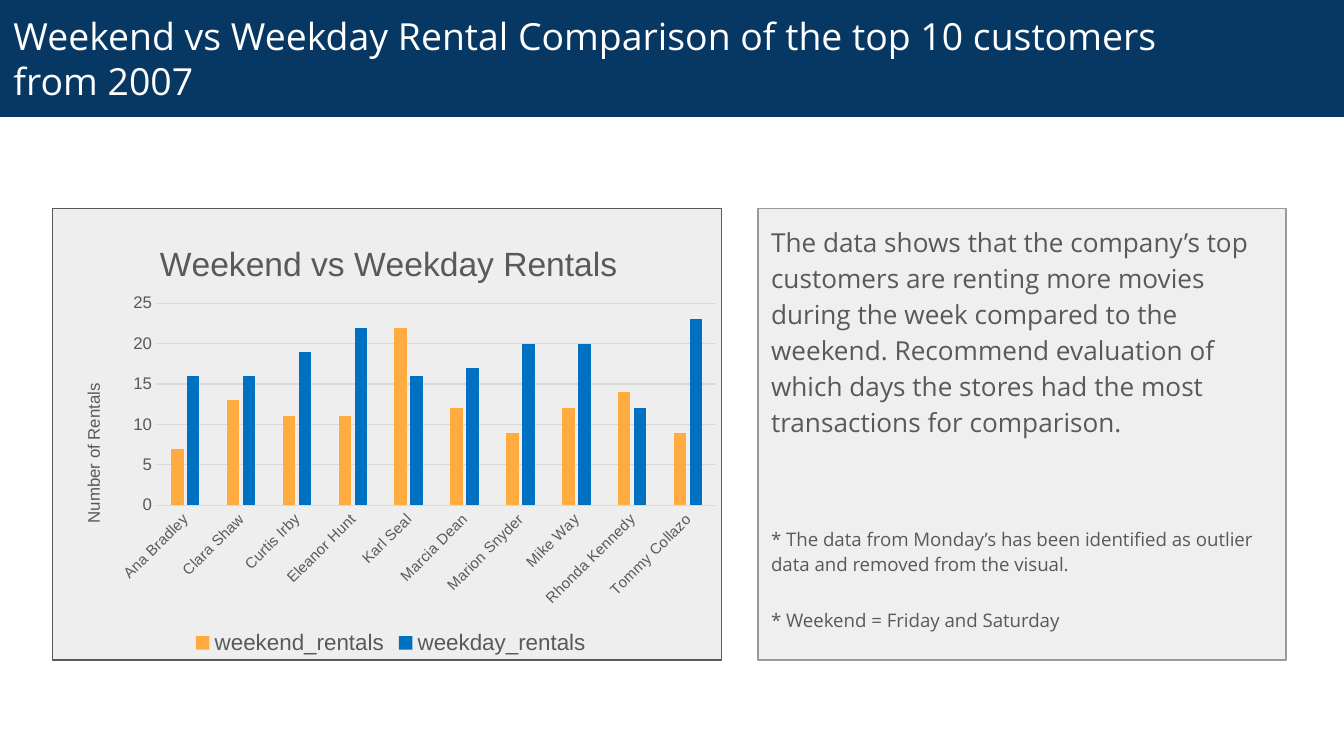
from dataclasses import dataclass

from lxml import etree
from pptx import Presentation
from pptx import util as u
from pptx.chart import data as chart_data
from pptx.dml.color import RGBColor
from pptx.enum import chart as ch
from pptx.enum import shapes, text
from pptx.oxml import parse_xml
from pptx.oxml.ns import nsdecls, qn


@dataclass(frozen=True)
class Theme:
    navy: str = "073763"
    white: str = "FFFFFF"
    ink: str = "595959"
    panel: str = "EEEEEE"
    note_panel: str = "EFEFEF"
    note_edge: str = "999999"
    grid: str = "D9D9D9"
    text_font: str = "Open Sans"
    chart_font: str = "Arial"
    heading: float = 20
    body: float = 14
    note: float = 10
    chart_title: float = 18
    legend: float = 12
    axis: float = 9
    category: float = 8
    line: float = 0.75


@dataclass(frozen=True)
class Area:
    left: float
    top: float
    width: float
    height: float

    def lengths(self) -> tuple:
        return tuple(u.Pt(v) for v in (self.left, self.top, self.width, self.height))


@dataclass(frozen=True)
class Series:
    name: str
    values: tuple
    color: str


@dataclass(frozen=True)
class Passage:
    words: str
    size: float
    after: float


THEME = Theme()
TITLE_BAR = Area(0, 0, 720, 62.6)
CHART_PANEL = Area(28, 111.7, 358.5, 242)
CHART_AREA = Area(28, 111.7, 362.9, 242)
NOTE_PANEL = Area(406, 111.7, 283, 242)

CUSTOMERS = ("Ana Bradley", "Clara Shaw", "Curtis Irby", "Eleanor Hunt", "Karl Seal",
             "Marcia Dean", "Marion Snyder", "Mike Way", "Rhonda Kennedy", "Tommy Collazo")
RENTALS = (
    Series("weekend_rentals", (7, 13, 11, 11, 22, 12, 9, 12, 14, 9), "FFAB40"),
    Series("weekday_rentals", (16, 16, 19, 22, 16, 17, 20, 20, 12, 23), "0070C0"),
)
PASSAGES = (
    Passage("The data shows that the company’s top customers are renting more movies during "
            "the week compared to the weekend. Recommend evaluation of which days the stores "
            "had the most transactions for comparison.", THEME.body, 46),
    Passage("* The data from Monday’s has been identified as outlier data and removed from "
            "the visual.", THEME.note, 16),
    Passage("* Weekend = Friday and Saturday", THEME.note, 16),
)


def style_font(font, *, size: float, color: str, name: str) -> None:
    font.size, font.name, font.bold = u.Pt(size), name, False
    font.color.rgb = RGBColor.from_string(color)


def write(para, words: str, *, size: float, color: str, name: str = THEME.text_font,
          spacing: float = 1.0, after: float = 0) -> None:
    """Fill a paragraph; a newline in the words becomes a line break."""
    para.alignment = text.PP_ALIGN.LEFT
    para.line_spacing, para.space_before, para.space_after = spacing, u.Pt(0), u.Pt(after)
    for index, line in enumerate(words.split("\n")):
        if index:
            para.add_line_break()
        span = para.add_run()
        span.text = line
        style_font(span.font, size=size, color=color, name=name)


def paint(shape, fill: str, edge: str | None = None) -> None:
    shape.fill.solid()
    shape.fill.fore_color.rgb = RGBColor.from_string(fill)
    if edge is None:
        shape.line.fill.background()
    else:
        shape.line.color.rgb = RGBColor.from_string(edge)
        shape.line.width = u.Pt(THEME.line)


def place(shape, area: Area) -> None:
    shape.left, shape.top, shape.width, shape.height = area.lengths()


def add_panel(page, area: Area, fill: str, edge: str):
    box = page.shapes.add_shape(shapes.MSO_SHAPE.RECTANGLE, *area.lengths())
    box.shadow.inherit = False
    paint(box, fill, edge)
    return box


def set_frame(frame, anchor) -> None:
    frame.word_wrap, frame.auto_size = True, text.MSO_AUTO_SIZE.NONE
    frame.vertical_anchor = anchor
    frame.margin_left = frame.margin_right = frame.margin_top = frame.margin_bottom = u.Pt(7.2)


def set_layout(parent, **parts: float) -> None:
    """Fix a chart part in place, in fractions of the chart's size."""
    old = parent.find(qn("c:layout"))
    if old is not None:
        parent.remove(old)
    layout = etree.Element(qn("c:layout"))
    manual = etree.SubElement(layout, qn("c:manualLayout"))
    settings = {"xMode": "edge", "yMode": "edge"} | parts
    if "w" in parts:
        settings = {"layoutTarget": "inner"} | settings
    for tag, value in settings.items():
        etree.SubElement(manual, qn(f"c:{tag}")).set("val", str(value))
    parent.insert(0 if parent.find(qn("c:tx")) is None else 1, layout)


def title_chart_part(part, words: str, size: float, x: float, y: float) -> None:
    para = part.text_frame.paragraphs[0]
    span = para.add_run()
    span.text = words
    style_font(span.font, size=size, color=THEME.ink, name=THEME.chart_font)
    set_layout(part._element, x=x, y=y)


def style_axis(axis, size: float) -> None:
    axis.major_tick_mark = axis.minor_tick_mark = ch.XL_TICK_MARK.NONE
    style_font(axis.tick_labels.font, size=size, color=THEME.ink, name=THEME.chart_font)


def grey_line(line) -> None:
    line.color.rgb = RGBColor.from_string(THEME.grid)
    line.width = u.Pt(THEME.line)


def add_rental_chart(page) -> None:
    data = chart_data.CategoryChartData()
    data.categories = CUSTOMERS
    for series in RENTALS:
        data.add_series(series.name, series.values)
    chart = page.shapes.add_chart(ch.XL_CHART_TYPE.COLUMN_CLUSTERED,
                                  *CHART_AREA.lengths(), data).chart
    style_font(chart.font, size=10, color="000000", name=THEME.chart_font)
    title_chart_part(chart.chart_title, "Weekend vs Weekday Rentals", THEME.chart_title, 0.15, 0.06)

    plot = chart.plots[0]
    plot.gap_width, plot.overlap, plot.vary_by_categories = 219, -27, False
    for drawn, series in zip(plot.series, RENTALS):
        drawn.format.fill.solid()
        drawn.format.fill.fore_color.rgb = RGBColor.from_string(series.color)

    names, counts = chart.category_axis, chart.value_axis
    style_axis(names, THEME.category)
    grey_line(names.format.line)
    names._element.find(qn("c:txPr")).find(qn("a:bodyPr")).set("rot", "-2700000")
    style_axis(counts, THEME.axis)
    counts.format.line.fill.background()
    counts.minimum_scale, counts.maximum_scale, counts.major_unit = 0, 25, 5
    grey_line(counts.major_gridlines.format.line)
    title_chart_part(counts.axis_title, "Number of Rentals", THEME.axis, 0.04, 0.38)

    chart.has_legend = True
    chart.legend.position = ch.XL_LEGEND_POSITION.BOTTOM
    chart.legend.include_in_layout = False
    style_font(chart.legend.font, size=THEME.legend, color=THEME.ink, name=THEME.chart_font)

    body = chart._chartSpace.find(qn("c:chart"))
    set_layout(body.find(qn("c:plotArea")), x=0.155, y=0.21, w=0.825, h=0.447)
    body.addnext(parse_xml(f'<c:spPr {nsdecls("c", "a")}><a:noFill/>'
                           '<a:ln><a:noFill/></a:ln></c:spPr>'))


def main() -> None:
    deck = Presentation()
    deck.slide_width, deck.slide_height = u.Pt(720), u.Pt(405)
    page = deck.slides.add_slide(deck.slide_layouts.get_by_name("Title Only"))

    title = page.shapes.title
    place(title, TITLE_BAR)
    paint(title, THEME.navy)
    set_frame(title.text_frame, text.MSO_ANCHOR.MIDDLE)
    write(title.text_frame.paragraphs[0],
          "Weekend vs Weekday Rental Comparison of the top 10 customers\nfrom 2007",
          size=THEME.heading, color=THEME.white)

    note = add_panel(page, NOTE_PANEL, THEME.note_panel, THEME.note_edge)
    set_frame(note.text_frame, text.MSO_ANCHOR.TOP)
    for index, passage in enumerate(PASSAGES):
        frame = note.text_frame
        para = frame.add_paragraph() if index else frame.paragraphs[0]
        write(para, passage.words, size=passage.size, color=THEME.ink,
              spacing=1.15, after=passage.after)

    add_panel(page, CHART_PANEL, THEME.panel, THEME.ink)
    add_rental_chart(page)
    deck.save("out.pptx")


if __name__ == "__main__":
    main()
